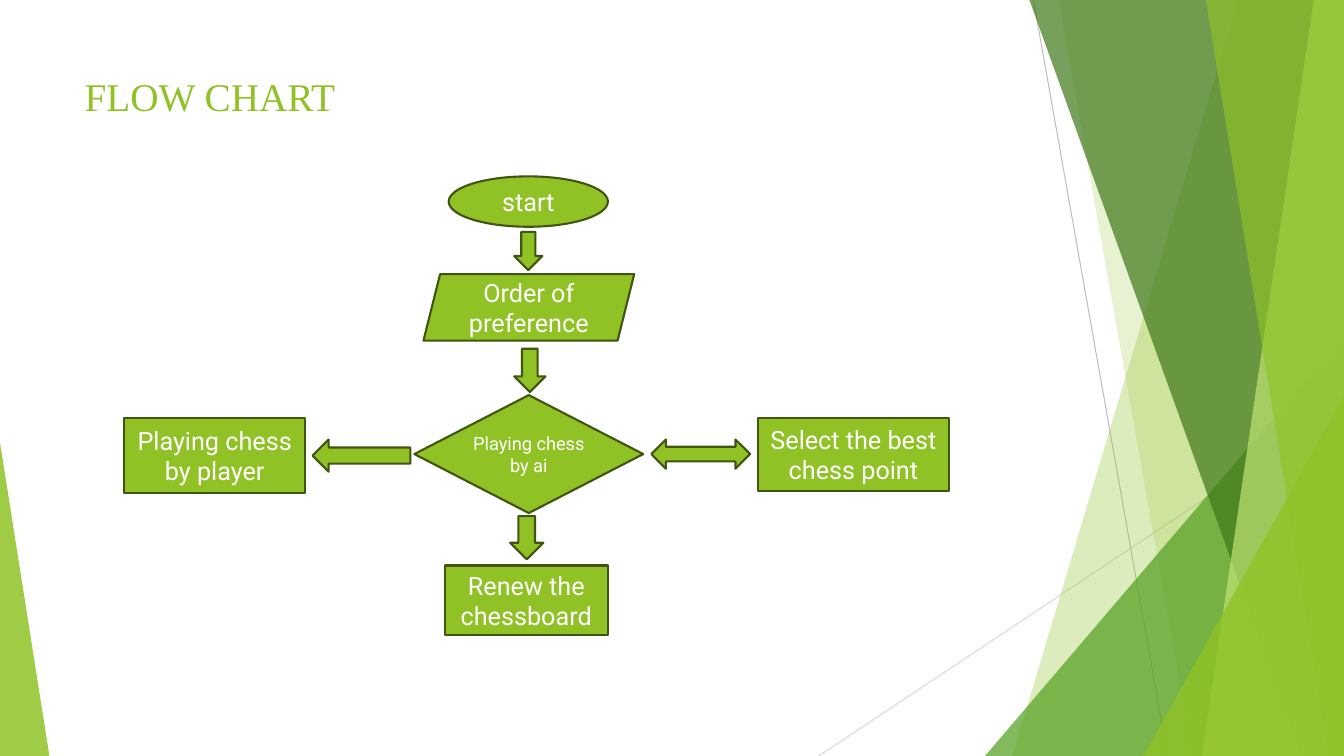
from lxml import etree
from pptx import Presentation
from pptx.dml.color import RGBColor
from pptx.enum.shapes import MSO_CONNECTOR, MSO_SHAPE
from pptx.enum.text import MSO_ANCHOR, PP_ALIGN
from pptx.oxml.ns import qn
from pptx.util import Inches, Pt

LIME = RGBColor(0x90, 0xC2, 0x26)
GREEN = RGBColor(0x54, 0xA0, 0x21)
FOREST = RGBColor(0x3F, 0x78, 0x19)
PALE = RGBColor(0xC0, 0xE4, 0x74)
OUTLINE = RGBColor(0x3F, 0x55, 0x11)
GREY = RGBColor(0xBF, 0xBF, 0xBF)
LIGHT_GREY = RGBColor(0xD9, 0xD9, 0xD9)
WHITE = RGBColor(0xFF, 0xFF, 0xFF)

WIDTH, HEIGHT = 13.33, 7.5
TITLE = "FLOW CHART"
STEP_SIZE, DIAMOND_SIZE = 18, 13

# Thin lines: start x, start y, end x, end y, colour
RAYS = [
    (10.25, 0, 11.58, HEIGHT, GREY),
    (WIDTH, 4.03, 8.12, HEIGHT, LIGHT_GREY),
]
# Bands reach the right edge: top left x, bottom left x, colour, opacity %
# Triangles stand on the bottom edge: left, top, width, apex, colour, opacity %
FACETS = [
    ("band", 12.28, 10.04, LIME, 30),
    ("band", 10.5, 11.83, LIME, 20),
    ("triangle", 9.77, 3.33, 3.56, 1, GREEN, 72),
    ("band", 10.21, 12.91, FOREST, 70),
    ("band", 13.03, 11.92, PALE, 70),
    ("band", 11.96, 13.18, LIME, 65),
    ("triangle", 11.34, 3.93, 1.99, 1, LIME, 80),
    ("triangle", 0, 4.39, 0.49, 0, LIME, 85),
]
# Flow chart: shape, left, top, width, height, text
STEPS = [
    (MSO_SHAPE.PARALLELOGRAM, 4.2, 2.72, 2.09, 0.66, "Order of preference"),
    (MSO_SHAPE.OVAL, 4.45, 1.75, 1.58, 0.5, "start"),
    (MSO_SHAPE.DOWN_ARROW, 5.1, 2.3, 0.28, 0.38, ""),
    (MSO_SHAPE.DIAMOND, 4.11, 3.92, 2.27, 1.17, "Playing chess by ai"),
    (MSO_SHAPE.DOWN_ARROW, 5.1, 3.46, 0.31, 0.43, ""),
    (MSO_SHAPE.LEFT_RIGHT_ARROW, 6.46, 4.36, 0.98, 0.29, ""),
    (MSO_SHAPE.RECTANGLE, 7.52, 4.15, 1.89, 0.72, "Select the best chess point"),
    (MSO_SHAPE.LEFT_ARROW, 3.1, 4.36, 0.97, 0.32, ""),
    (MSO_SHAPE.RECTANGLE, 1.23, 4.15, 1.8, 0.74, "Playing chess by player"),
    (MSO_SHAPE.DOWN_ARROW, 5.06, 5.12, 0.33, 0.43, ""),
    (MSO_SHAPE.RECTANGLE, 4.41, 5.61, 1.62, 0.69, "Renew the chessboard"),
]


def add_run(paragraph, text, font, size, color):
    run = paragraph.add_run()
    run.text = text
    run.font.name = font
    run.font.size = Pt(size)
    run.font.color.rgb = color


def fill_shape(shape, color):
    shape.shadow.inherit = False
    shape.fill.solid()
    shape.fill.fore_color.rgb = color


def add_ray(slide, x1, y1, x2, y2, color):
    ray = slide.shapes.add_connector(
        MSO_CONNECTOR.STRAIGHT, Inches(x1), Inches(y1), Inches(x2), Inches(y2))
    ray.line.color.rgb = color
    ray.line.width = Pt(0.75)
    etree.SubElement(ray._element.spPr, qn("a:effectLst"))


def add_band(slide, top_x, bottom_x):
    corners = [(WIDTH, 0), (WIDTH, HEIGHT), (bottom_x, HEIGHT)]
    builder = slide.shapes.build_freeform(Inches(top_x), 0)
    builder.add_line_segments([(Inches(x), Inches(y)) for x, y in corners], close=True)
    return builder.convert_to_shape()


def add_triangle(slide, left, top, width, apex):
    triangle = slide.shapes.add_shape(
        MSO_SHAPE.ISOSCELES_TRIANGLE,
        Inches(left), Inches(top), Inches(width), Inches(HEIGHT - top))
    triangle.adjustments[0] = apex
    return triangle


def add_facet(slide, kind, *details):
    *geometry, color, opacity = details
    make = add_band if kind == "band" else add_triangle
    shape = make(slide, *geometry)
    fill_shape(shape, color)
    shape.line.fill.background()
    color_element = shape._element.spPr.find(qn("a:solidFill"))[0]
    etree.SubElement(color_element, qn("a:alpha"), val=str(opacity * 1000))


def add_step(slide, kind, left, top, width, height, text):
    shape = slide.shapes.add_shape(
        kind, Inches(left), Inches(top), Inches(width), Inches(height))
    fill_shape(shape, LIME)
    shape.line.color.rgb = OUTLINE
    shape.line.width = Pt(1.5)
    if text:
        frame = shape.text_frame
        frame.word_wrap = True
        frame.vertical_anchor = MSO_ANCHOR.MIDDLE
        size = STEP_SIZE
        if kind == MSO_SHAPE.DIAMOND:
            # Two short lines stay inside the slanted sides
            size = DIAMOND_SIZE
            frame.margin_left = frame.margin_right = 0
        frame.paragraphs[0].alignment = PP_ALIGN.CENTER
        add_run(frame.paragraphs[0], text, "Roboto", size, WHITE)


def add_title(slide):
    title = slide.shapes.title
    title.left, title.top = Inches(0.74), Inches(0.64)
    title.width, title.height = Inches(9.4), Inches(0.68)
    title.text_frame.vertical_anchor = MSO_ANCHOR.MIDDLE
    paragraph = title.text_frame.paragraphs[0]
    paragraph.alignment = PP_ALIGN.LEFT
    paragraph.line_spacing = 0.9
    add_run(paragraph, TITLE, "Times New Roman", 28, LIME)


def main():
    presentation = Presentation()
    presentation.slide_width = Inches(WIDTH)
    presentation.slide_height = Inches(HEIGHT)
    slide = presentation.slides.add_slide(presentation.slide_layouts[5])

    # Background decoration
    for ray in RAYS:
        add_ray(slide, *ray)
    for facet in FACETS:
        add_facet(slide, *facet)

    # Title and flow chart
    add_title(slide)
    for step in STEPS:
        add_step(slide, *step)

    presentation.save("out.pptx")


if __name__ == "__main__":
    main()
